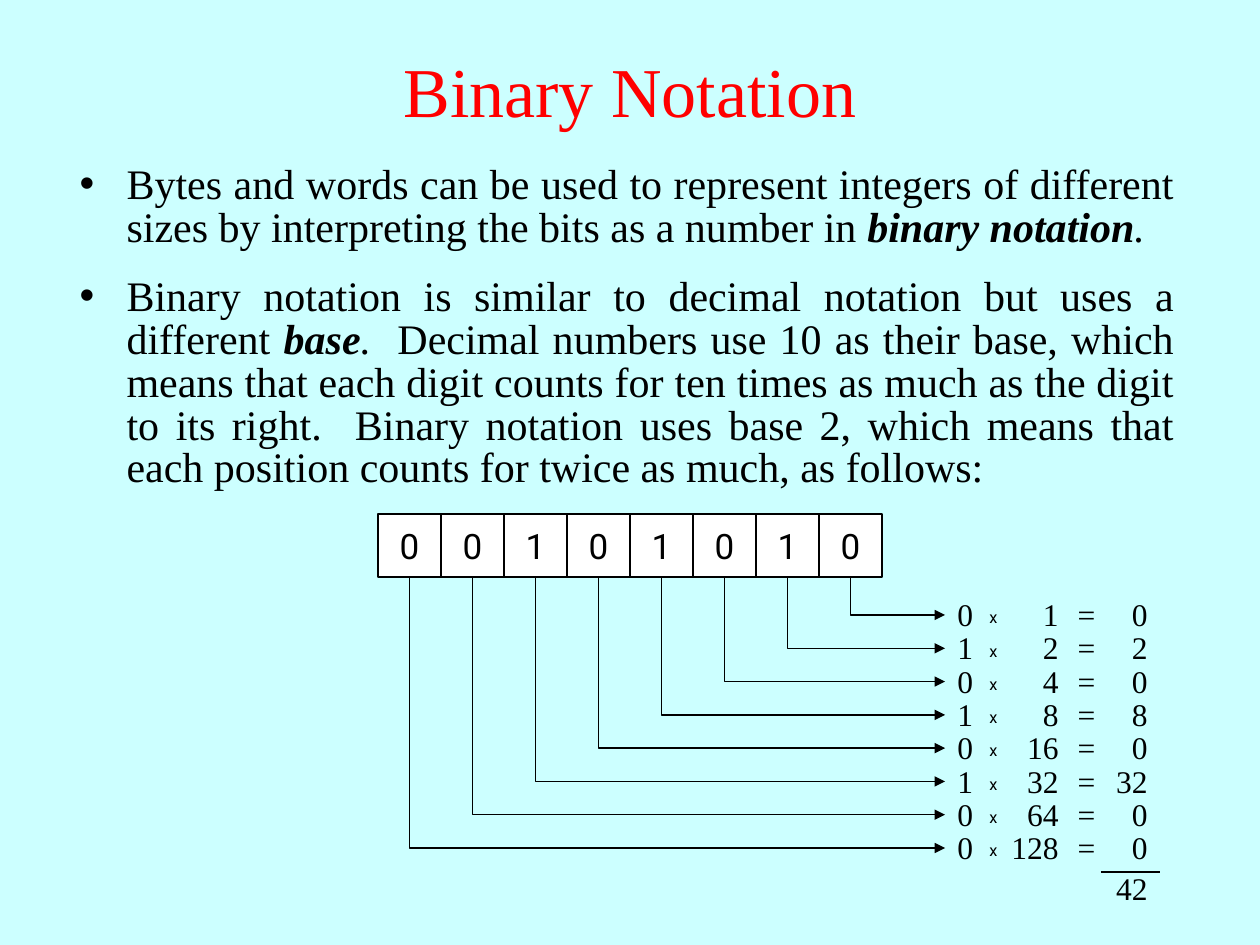
"""Build a slide that explains binary notation with an eight-bit example."""
from lxml import etree
from pptx import Presentation
from pptx.dml.color import RGBColor
from pptx.enum.shapes import MSO_CONNECTOR, MSO_SHAPE
from pptx.enum.text import MSO_ANCHOR, MSO_AUTO_SIZE, PP_ALIGN
from pptx.oxml.ns import qn
from pptx.util import Pt

LEFT, CENTER, RIGHT, JUSTIFY = PP_ALIGN.LEFT, PP_ALIGN.CENTER, PP_ALIGN.RIGHT, PP_ALIGN.JUSTIFY
MIDDLE, NO_FIT = MSO_ANCHOR.MIDDLE, MSO_AUTO_SIZE.NONE
ELBOW, STRAIGHT, RECTANGLE = MSO_CONNECTOR.ELBOW, MSO_CONNECTOR.STRAIGHT, MSO_SHAPE.RECTANGLE

BLACK = RGBColor(0, 0, 0)
WHITE = RGBColor(255, 255, 255)
RED = RGBColor(255, 0, 0)
PALE_CYAN = RGBColor(0xCC, 0xFF, 0xFF)
SERIF, SANS = "Times New Roman", "Roboto"

TITLE = "Binary Notation"
BULLETS = [
    [("Bytes and words can be used to represent integers of different sizes by "
      "interpreting the bits as a number in ", False, False),
     ("binary notation", True, True), (".", False, True)],
    [("Binary notation is similar to decimal notation but uses a different ", False, False),
     ("base", True, True), (".", False, True),
     ("  Decimal numbers use 10 as their base, which means that each digit counts for "
      "ten times as much as the digit to its right.  Binary notation uses base 2, which "
      "means that each position counts for twice as much, as follows:", False, False)],
]
BITS = [0, 0, 1, 0, 1, 0, 1, 0]

CELL, CELL_LEFT, CELL_TOP = 63, 378, 514
ARROW_TOP, ARROW_SPAN, ARROW_END = 615, 233, 945
ROW_HEIGHT, ROW_RISE = 50, 26
DIGIT_COLUMN, PLACE_COLUMN = (945, 158), (987, 84)
EQUALS_COLUMN, PRODUCT_COLUMN = (1050, 73), (1097, 63)
TIMES_TAB = 32
SUM_TOP, RULE_Y, RULE_LEFT, RULE_RIGHT = 863, 872, 1101, 1160


def px(value):
    return round(value * 914400 / 126)


def place(shape, left, top, width, height):
    shape.left, shape.top, shape.width, shape.height = map(px, (left, top, width, height))


def add_span(para, text, size, face=SERIF, color=BLACK, bold=False, italic=False):
    span = para.add_run()
    span.text = text
    font = span.font
    font.size, font.name, font.bold, font.italic = Pt(size), face, bold, italic
    font.color.rgb = color
    return span


def add_label(page, column, top, text, align):
    left, width = column
    box = page.shapes.add_textbox(px(left), px(top), px(width), px(ROW_HEIGHT))
    box.text_frame.word_wrap = True
    para = box.text_frame.paragraphs[0]
    para.alignment = align
    add_span(para, text, 18)
    return para


def add_digit(page, top, bit):
    para = add_label(page, DIGIT_COLUMN, top, f"{bit}\t", LEFT)
    tabs = etree.SubElement(para._p.get_or_add_pPr(), qn("a:tabLst"))
    etree.SubElement(tabs, qn("a:tab"), pos=str(px(TIMES_TAB)), algn="l")
    times = add_span(para, "x", 16, SANS)
    times.font._element.set("baseline", "10000")


def style_line(connector):
    connector.line.color.rgb = BLACK
    connector.line.width = Pt(0.75)
    etree.SubElement(connector._element.spPr, qn("a:effectLst"))


def add_bent_arrow(page, x, y, end_x, end_y):
    mid_x, mid_y = (x + end_x) / 2, (y + end_y) / 2
    half_run, half_drop = (end_x - x) / 2, (end_y - y) / 2
    arrow = page.shapes.add_connector(
        ELBOW, px(mid_x + half_drop), px(mid_y - half_run),
        px(mid_x - half_drop), px(mid_y + half_run))
    properties = arrow._element.spPr
    properties.find(qn("a:xfrm")).set("rot", "16200000")
    properties.find(qn("a:prstGeom")).set("prst", "bentConnector2")
    style_line(arrow)
    etree.SubElement(arrow.line._get_or_add_ln(), qn("a:tailEnd"), type="triangle")


def add_cell(page, left, bit):
    cell = page.shapes.add_shape(RECTANGLE, px(left), px(CELL_TOP), px(CELL), px(CELL))
    cell.shadow.inherit = False
    cell.fill.solid()
    cell.fill.fore_color.rgb = WHITE
    cell.line.color.rgb = BLACK
    cell.line.width = Pt(0.75)
    frame = cell.text_frame
    frame.word_wrap, frame.vertical_anchor = False, MIDDLE
    frame.paragraphs[0].alignment = CENTER
    add_span(frame.paragraphs[0], str(bit), 20, SANS)


def fill_text(page):
    title, body = page.placeholders
    place(title, 0, 10, 1260, 158)
    title.text_frame.vertical_anchor = MIDDLE
    title.text_frame.auto_size = NO_FIT
    title.text_frame.paragraphs[0].alignment = CENTER
    add_span(title.text_frame.paragraphs[0], TITLE, 40, color=RED)

    place(body, 67, 159, 1120, 365)
    frame = body.text_frame
    frame.auto_size = NO_FIT
    for index, spans in enumerate(BULLETS):
        para = frame.add_paragraph() if index else frame.paragraphs[0]
        properties = para._p.get_or_add_pPr()
        properties.set("marL", str(px(47)))
        properties.set("indent", str(px(-47)))
        para.alignment, para.line_spacing = JUSTIFY, 0.85
        para.space_before, para.space_after = Pt(0), Pt(15)
        for text, bold, italic in spans:
            add_span(para, text, 24, bold=bold, italic=italic)


def draw_sum(page):
    for index, bit in enumerate(BITS):
        add_cell(page, CELL_LEFT + index * CELL, bit)
    for power, bit in enumerate(reversed(BITS)):
        arrow_y = ARROW_TOP + ARROW_SPAN * power / (len(BITS) - 1)
        cell_middle = CELL_LEFT + (len(BITS) - power - 0.5) * CELL
        add_bent_arrow(page, cell_middle, CELL_TOP + CELL, ARROW_END, arrow_y)
        top = arrow_y - ROW_RISE
        add_digit(page, top, bit)
        add_label(page, PLACE_COLUMN, top, str(2 ** power), RIGHT)
        add_label(page, EQUALS_COLUMN, top, "=", CENTER)
        add_label(page, PRODUCT_COLUMN, top, str(bit * 2 ** power), RIGHT)
    rule = page.shapes.add_connector(
        STRAIGHT, px(RULE_LEFT), px(RULE_Y), px(RULE_RIGHT), px(RULE_Y))
    style_line(rule)
    total = sum(bit * 2 ** power for power, bit in enumerate(reversed(BITS)))
    add_label(page, PRODUCT_COLUMN, SUM_TOP, str(total), RIGHT)


def main():
    deck = Presentation()
    deck.slide_width, deck.slide_height = px(1260), px(945)
    page = deck.slides.add_slide(deck.slide_layouts[1])
    page.background.fill.solid()
    page.background.fill.fore_color.rgb = PALE_CYAN
    fill_text(page)
    draw_sum(page)
    deck.save("out.pptx")


if __name__ == "__main__":
    main()
